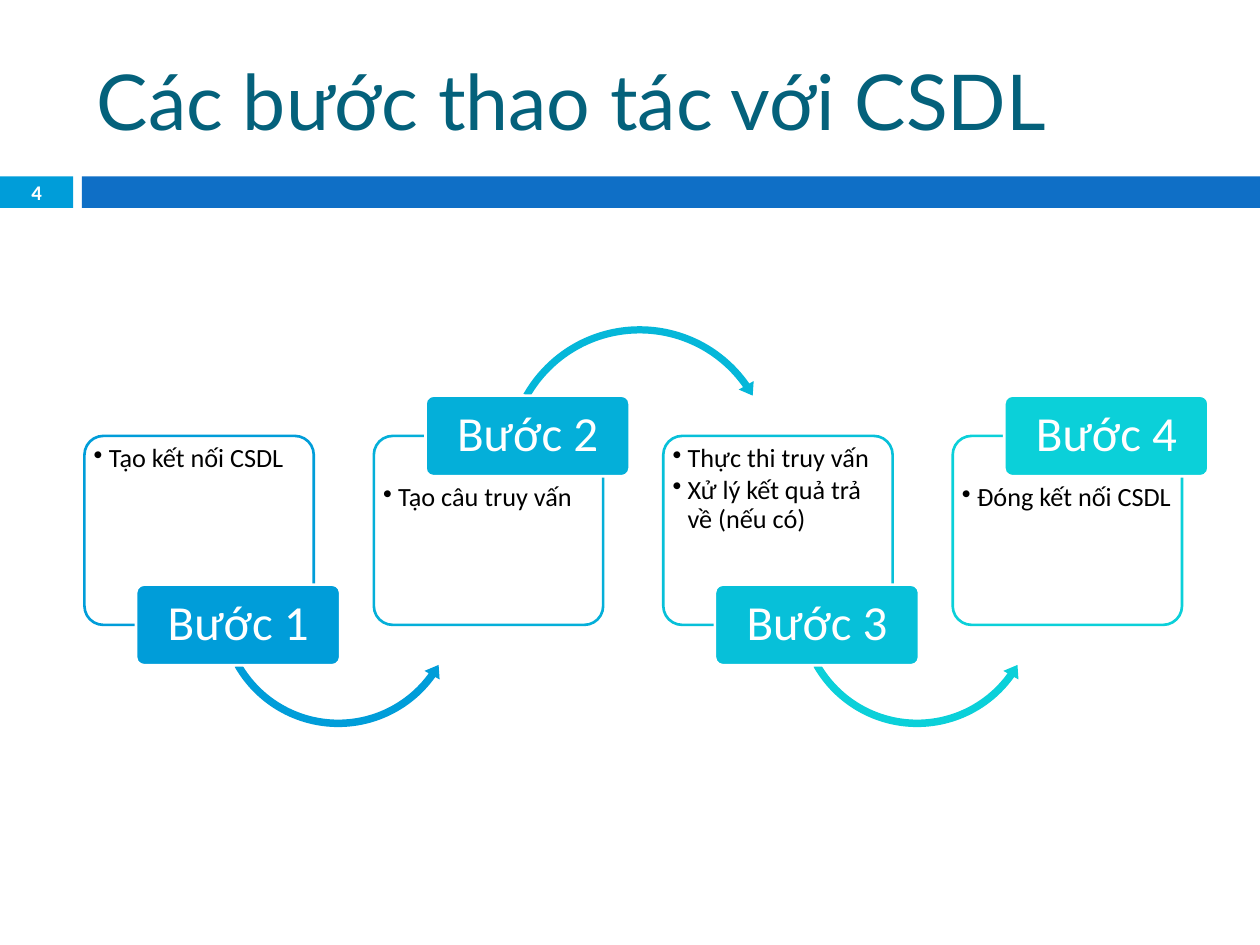
"""Builds a slide with the four alternating steps of working with a database."""
from dataclasses import dataclass

from lxml.etree import SubElement
from pptx import Presentation
from pptx.dml.color import RGBColor
from pptx.enum.shapes import MSO_SHAPE as Shape
from pptx.enum.text import MSO_ANCHOR as Anchor, PP_ALIGN as Align
from pptx.oxml.ns import qn
from pptx.util import Inches, Pt


@dataclass(frozen=True)
class Theme:
    title: str = "04617B"
    text: str = "000000"
    light: str = "FFFFFF"
    bar: str = "0F6FC6"
    steps: tuple = ("009DD9", "04AFD9", "07C0D9", "0BD0D9")
    arrows: tuple = ("009DD9", "05B7D9", "0BD0D9")
    heading_font: str = "Lato"
    body_font: str = "Calibri"
    title_size: float = 44
    label_size: float = 28
    body_size: float = 15
    number_size: float = 11.9
    outline: float = 1.5


class StepSlide:
    def __init__(self, deck, theme, columns=100, rows=75):
        self.theme = theme
        self.slide = deck.slides.add_slide(deck.slide_layouts[6])
        self.column = deck.slide_width / columns
        self.row = deck.slide_height / rows

    def place(self, left, top, width, height):
        return [round(cells * unit) for cells, unit in
                zip((left, top, width, height), (self.column, self.row) * 2)]

    def block(self, kind, area, fill, line=None, adjust=()):
        block = self.slide.shapes.add_shape(kind, *self.place(*area))
        block.shadow.inherit = False
        block.fill.solid()
        block.fill.fore_color.rgb = RGBColor.from_string(fill)
        if line:
            block.line.color.rgb = RGBColor.from_string(line)
            block.line.width = Pt(self.theme.outline)
        else:
            block.line.fill.background()
        for index, value in enumerate(adjust):
            block.adjustments[index] = value
        return block

    def fill_text(self, holder, lines, size, color, align=Align.LEFT, anchor=Anchor.MIDDLE,
                  inset=(0.1, 0.05, 0.1, 0.05), font=None, bold=False, spacing=None, after=0):
        frame = holder.text_frame
        margins = dict(zip(("margin_left", "margin_top", "margin_right", "margin_bottom"),
                           map(Inches, inset)))
        for name, value in {"word_wrap": True, "vertical_anchor": anchor, **margins}.items():
            setattr(frame, name, value)
        frame.text = "\n".join(lines)
        formats = {"size": Pt(size), "name": font or self.theme.body_font, "bold": bold}
        for paragraph in frame.paragraphs:
            layout = {"alignment": align, "line_spacing": spacing, "space_after": Pt(after)}
            for name, value in layout.items():
                setattr(paragraph, name, value)
            for name, value in formats.items():
                setattr(paragraph.runs[0].font, name, value)
            paragraph.runs[0].font.color.rgb = RGBColor.from_string(color)
        return frame.paragraphs

    def text(self, area, words, size, color, **style):
        box = self.slide.shapes.add_textbox(*self.place(*area))
        self.fill_text(box, [words], size, color, **style)

    def panel(self, area, lines, color, top_inset):
        theme = self.theme
        panel = self.block(Shape.ROUNDED_RECTANGLE, area, theme.light, color, [0.1])
        fill = panel.element.spPr.find(qn("a:solidFill"))
        SubElement(fill[0], qn("a:alpha"), val="90000")
        for paragraph in self.fill_text(panel, lines, theme.body_size, theme.text,
                                        anchor=Anchor.TOP, spacing=0.9, after=2,
                                        inset=(0.03, top_inset, 0.03, 0.03)):
            properties = paragraph._p.get_or_add_pPr()
            properties.set("marL", str(Inches(0.12)))
            properties.set("indent", str(Inches(-0.12)))
            SubElement(properties, qn("a:buChar"), char="•")

    def label(self, area, words, color):
        theme = self.theme
        label = self.block(Shape.ROUNDED_RECTANGLE, area, color, theme.light, [0.1])
        self.fill_text(label, [words], theme.label_size, theme.light, align=Align.CENTER,
                       inset=(0.06, 0.04, 0.06, 0.04), spacing=0.9)

    def arrow(self, left, color, over):
        if over:
            self.block(Shape.CIRCULAR_ARROW, (left + 10.1, 25.5, 22, 22), color,
                       adjust=(0.026, 3.222, 195.022, 125.755, 0.031))
        else:
            self.block(Shape.LEFT_CIRCULAR_ARROW, (left + 10.3, 38.4, 19.7, 19.7), color,
                       adjust=(0.03, 3.629, 21.385, 90.245, 0.035))


def main():
    theme = Theme()
    deck = Presentation()
    deck.slide_width, deck.slide_height = Inches(10), Inches(7.5)
    page = StepSlide(deck, theme)

    page.block(Shape.RECTANGLE, (0, 14, 5.8, 2.5), theme.steps[0])
    page.block(Shape.RECTANGLE, (6.5, 14, 93.5, 2.5), theme.bar)
    page.text((6.7, 2.5, 89.2, 10.8), "Các bước thao tác với CSDL", theme.title_size,
              theme.title, font=theme.heading_font)

    steps = (["Tạo kết nối CSDL"],
             ["Tạo câu truy vấn"],
             ["Thực thi truy vấn", "Xử lý kết quả trả về (nếu có)"],
             ["Đóng kết nối CSDL"])
    for index, (tasks, color) in enumerate(zip(steps, theme.steps)):
        left = 6.7 + 22.97 * index
        label_above = index % 2 == 1
        page.panel((left, 34.6, 18.2, 15), tasks, color, 0.34 if label_above else 0.03)
        if index < len(theme.arrows):
            page.arrow(left, theme.arrows[index], label_above)
        page.label((left + 4.1, 31.4 if label_above else 46.4, 16.2, 6.4),
                   f"Bước {index + 1}", color)

    page.text((0, 13.9, 5.8, 2.7), "4", theme.number_size, theme.light,
              align=Align.CENTER, bold=True)
    deck.save("out.pptx")


if __name__ == "__main__":
    main()
